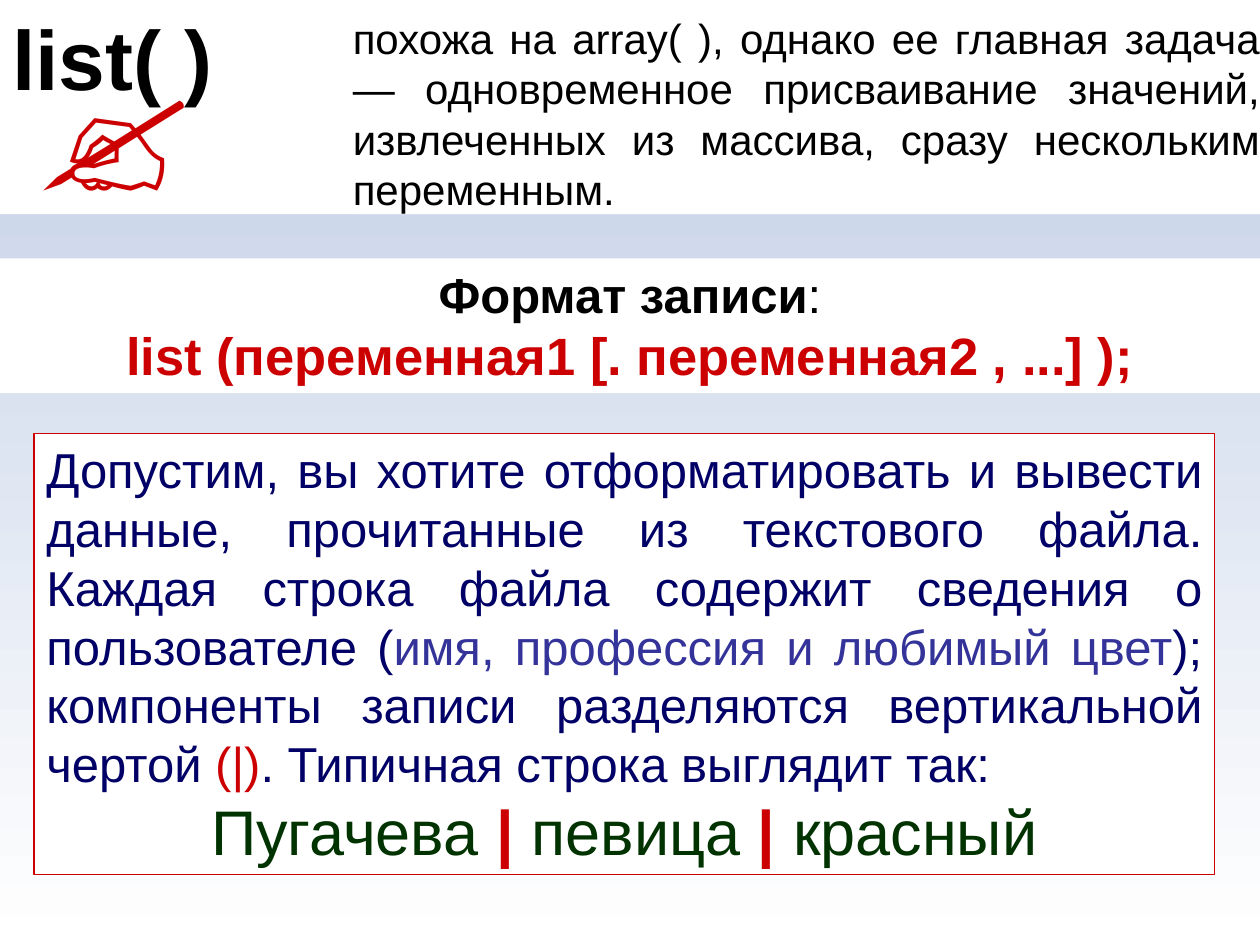
from dataclasses import dataclass

from pptx import Presentation
from pptx.dml.color import RGBColor
from pptx.enum.shapes import MSO_SHAPE
from pptx.enum.text import MSO_ANCHOR, MSO_AUTO_SIZE, PP_ALIGN
from pptx.util import Pt

PX = 9144  # EMU per px, 100 px to the inch
RECTANGLE = MSO_SHAPE.RECTANGLE
TOP, MIDDLE = MSO_ANCHOR.TOP, MSO_ANCHOR.MIDDLE
GROW = MSO_AUTO_SIZE.SHAPE_TO_FIT_TEXT
LEFT, CENTER, JUSTIFY = PP_ALIGN.LEFT, PP_ALIGN.CENTER, PP_ALIGN.JUSTIFY


@dataclass(frozen=True)
class Theme:
    font: str = "Arial"
    sky: str = "BFCDE5"
    white: str = "FFFFFF"
    black: str = "000000"
    red: str = "CC0000"
    navy: str = "000066"
    indigo: str = "333399"
    green: str = "003300"
    title: int = 48
    intro: int = 24
    body: int = 28
    syntax: int = 30
    sample: int = 36
    icon: int = 96


THEME = Theme()


def rgb(color):
    return RGBColor.from_string(color)


def set_frame(shape, inset=(10, 5), anchor=TOP):
    across, down = (length * PX for length in inset)
    values = {
        "word_wrap": True, "auto_size": GROW, "vertical_anchor": anchor,
        "margin_left": across, "margin_right": across,
        "margin_top": down, "margin_bottom": down,
    }
    for name, value in values.items():
        setattr(shape.text_frame, name, value)


def add_panel(page, box, outline=None, **frame):
    """Add a white rectangle ready to hold text."""
    panel = page.shapes.add_shape(RECTANGLE, *(length * PX for length in box))
    panel.shadow.inherit = False
    panel.fill.solid()
    panel.fill.fore_color.rgb = rgb(THEME.white)
    if outline:
        panel.line.color.rgb = rgb(outline)
        panel.line.width = Pt(0.75)
    else:
        panel.line.fill.background()
    set_frame(panel, **frame)
    return panel


def write(para, spans, align=LEFT):
    """Fill a paragraph with (text, size, color, bold) spans; None breaks the line."""
    para.alignment = align
    for span in spans:
        if span is None:
            para.add_line_break()
            continue
        text, size, color, bold = span
        run = para.add_run()
        run.text = text
        values = {"name": THEME.font, "size": Pt(size), "bold": bold}
        for name, value in values.items():
            setattr(run.font, name, value)
        run.font.color.rgb = rgb(color)


def paint_background(page):
    fill = page.background.fill
    fill.gradient()
    fill.gradient_angle = 270
    for stop, color in zip(fill.gradient_stops, (THEME.sky, THEME.white)):
        stop.color.rgb = rgb(color)


def add_header(page, box):
    """Add the function name, its description and the writing hand."""
    left, top, width, height = box
    title = add_panel(page, box)
    write(title.text_frame.paragraphs[0],
          [("list( )", THEME.title, THEME.black, True)])

    intro = add_panel(page, (left + 280, top + 10, width - 280, height - 10),
                      inset=(0, 0), anchor=MIDDLE)
    write(intro.text_frame.paragraphs[0], [(
        "похожа на array( ), однако ее главная задача — одновременное "
        "присваивание значений, извлеченных из массива, сразу нескольким "
        "переменным.", THEME.intro, THEME.black, False)], JUSTIFY)

    icon_box = (left + 20, top + 68, 161, 106)
    icon = page.shapes.add_textbox(*(length * PX for length in icon_box))
    set_frame(icon)
    para = icon.text_frame.paragraphs[0]
    para.line_spacing = 0.6
    write(para, [("✍", THEME.icon, THEME.red, False)])


def add_syntax(page, box):
    panel = add_panel(page, box)
    write(panel.text_frame.paragraphs[0], [
        ("Формат записи", THEME.body, THEME.black, True),
        (":", THEME.body, THEME.black, False),
        None,
        ("list (переменная1 [. переменная2 , ...] );",
         THEME.syntax, THEME.red, True),
    ], CENTER)


def add_example(page, box):
    frame = add_panel(page, box, outline=THEME.red).text_frame
    story = [
        ("Допустим, вы хотите отформатировать и вывести данные, прочитанные "
         "из текстового файла. Каждая строка файла содержит сведения о "
         "пользователе (", THEME.navy),
        ("имя, профессия и любимый цвет", THEME.indigo),
        ("); компоненты записи разделяются вертикальной чертой ", THEME.navy),
        ("(|)", THEME.red),
        (". Типичная строка выглядит так:", THEME.navy),
    ]
    write(frame.paragraphs[0],
          [(text, THEME.body, color, False) for text, color in story], JUSTIFY)

    record = []
    for field in ("Пугачева", "певица", "красный"):
        if record:
            record.append((" | ", THEME.sample, THEME.red, True))
        record.append((field, THEME.sample, THEME.green, False))
    write(frame.add_paragraph(), record, CENTER)


def main():
    deck = Presentation()
    deck.slide_width, deck.slide_height = 1000 * PX, 750 * PX
    page = deck.slides.add_slide(deck.slide_layouts[6])
    paint_background(page)
    add_header(page, (0, 0, 1000, 170))
    add_syntax(page, (0, 205, 1000, 107))
    add_example(page, (27, 344, 937, 350))
    deck.save("out.pptx")


if __name__ == "__main__":
    main()
